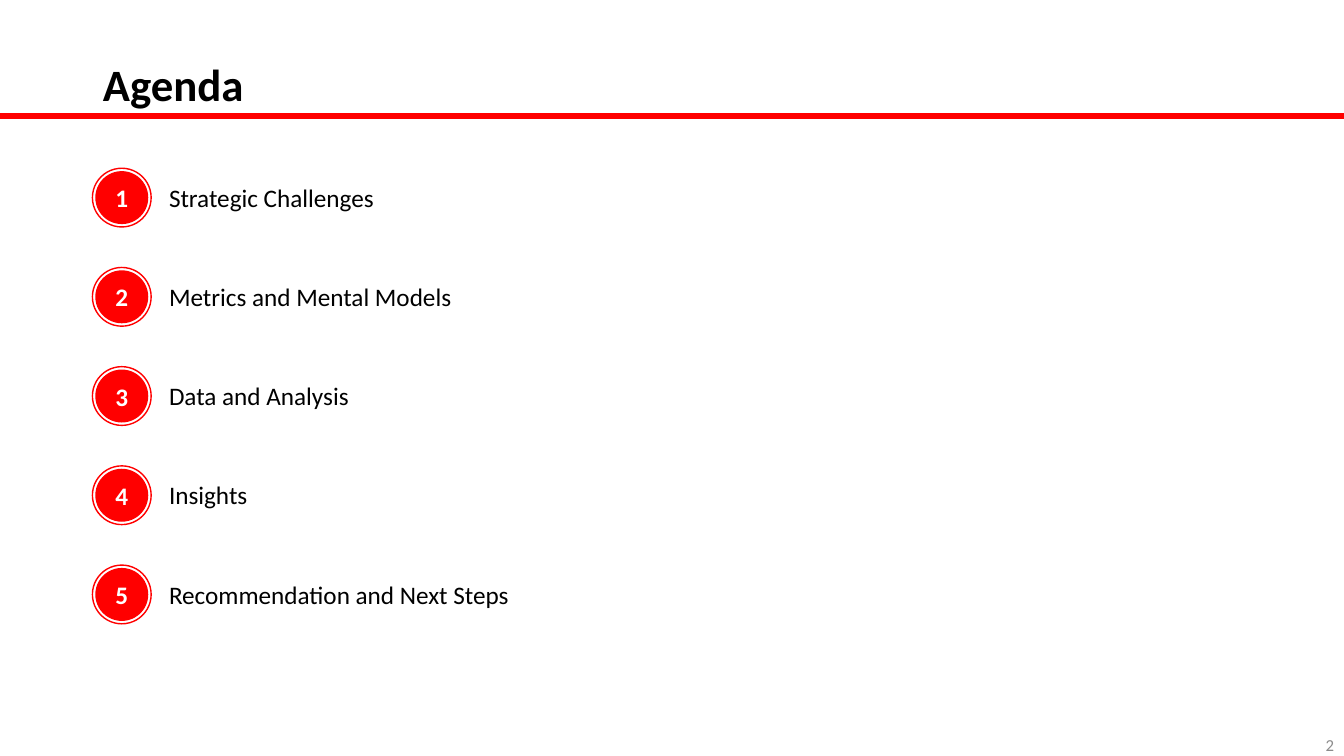
import pptx
import pptx.dml.color
import pptx.enum.shapes
import pptx.enum.text
import pptx.oxml
import pptx.util
from pptx.util import Cm

RED, BLACK, WHITE, GREY = "FF0000", "000000", "FFFFFF", "8C8C8C"
ALIGN = pptx.enum.text.PP_ALIGN
ANCHOR = pptx.enum.text.MSO_ANCHOR
AUTO_SIZE = pptx.enum.text.MSO_AUTO_SIZE

SLIDE_WIDTH, SLIDE_HEIGHT = Cm(33.87), Cm(19.05)
TOPICS = [
    "Strategic Challenges",
    "Metrics and Mental Models",
    "Data and Analysis",
    "Insights",
    "Recommendation and Next Steps",
]
FIRST_CENTER, TOPIC_PITCH = Cm(4.98), Cm(2.5)
BADGE_CENTER = Cm(3.07)
DISC_SIZE, RING_SIZE = Cm(1.3), Cm(1.48)
TOPIC_HEIGHT = Cm(1.03)


def rgb(hex_color):
    return pptx.dml.color.RGBColor.from_string(hex_color)


def write(frame, text, size=18, color=BLACK, bold=False, align=ALIGN.LEFT,
          anchor=ANCHOR.TOP, spacing=1.0, auto_size=AUTO_SIZE.NONE):
    frame.word_wrap = True
    frame.auto_size = auto_size
    frame.vertical_anchor = anchor
    paragraph = frame.paragraphs[0]
    paragraph.alignment = align
    paragraph.line_spacing = spacing
    run = paragraph.add_run()
    run.text = text
    run.font.name = "Calibri"
    run.font.size = pptx.util.Pt(size)
    run.font.bold = bold
    run.font.color.rgb = rgb(color)


def add_circle(shapes, center_y, diameter, fill=None):
    circle = shapes.add_shape(
        pptx.enum.shapes.MSO_SHAPE.OVAL,
        BADGE_CENTER - diameter // 2, center_y - diameter // 2, diameter, diameter)
    circle.shadow.inherit = False
    if fill:
        circle.fill.solid()
        circle.fill.fore_color.rgb = rgb(fill)
    else:
        circle.fill.background()
    circle.line.color.rgb = rgb(RED)
    circle.line.width = pptx.util.Pt(1)
    return circle


def add_topic(slide, number, topic):
    center_y = FIRST_CENTER + (number - 1) * TOPIC_PITCH
    group = slide.shapes.add_group_shape()
    # Numbered disc inside a thin ring
    disc = add_circle(group.shapes, center_y, DISC_SIZE, fill=RED)
    write(disc.text_frame, str(number), color=WHITE, bold=True,
          align=ALIGN.CENTER, anchor=ANCHOR.MIDDLE)
    add_circle(group.shapes, center_y, RING_SIZE)
    # Topic wording
    label = group.shapes.add_textbox(
        Cm(4.01), center_y - TOPIC_HEIGHT // 2, Cm(25.93), TOPIC_HEIGHT)
    write(label.text_frame, topic, auto_size=AUTO_SIZE.SHAPE_TO_FIT_TEXT)


def add_title(slide, text):
    title = slide.shapes.title
    title.left, title.top, title.width, title.height = Cm(2.34), Cm(0.48), Cm(29.21), Cm(2.44)
    write(title.text_frame, text, size=32, bold=True, anchor=ANCHOR.BOTTOM, spacing=0.9)


def add_title_rule(slide):
    rule = slide.shapes.add_connector(
        pptx.enum.shapes.MSO_CONNECTOR.STRAIGHT, 0, Cm(2.93), SLIDE_WIDTH, Cm(2.93))
    rule.line.color.rgb = rgb(RED)
    rule.line.width = pptx.util.Pt(4.5)
    properties = rule._element.spPr
    properties.append(properties.makeelement(pptx.oxml.ns.qn("a:effectLst"), {}))


def add_page_number(slide, number):
    page_number = slide.shapes.add_textbox(Cm(26.25), Cm(18.27), Cm(7.62), Cm(1.01))
    write(page_number.text_frame, str(number), size=12, color=GREY,
          align=ALIGN.RIGHT, anchor=ANCHOR.MIDDLE)


def main():
    deck = pptx.Presentation()
    deck.slide_width, deck.slide_height = SLIDE_WIDTH, SLIDE_HEIGHT
    agenda = deck.slides.add_slide(deck.slide_layouts.get_by_name("Title Only"))

    # Header
    add_title(agenda, "Agenda")
    add_title_rule(agenda)
    add_page_number(agenda, 2)

    # Agenda topics
    for number, topic in enumerate(TOPICS, start=1):
        add_topic(agenda, number, topic)

    deck.save("out.pptx")


if __name__ == "__main__":
    main()
